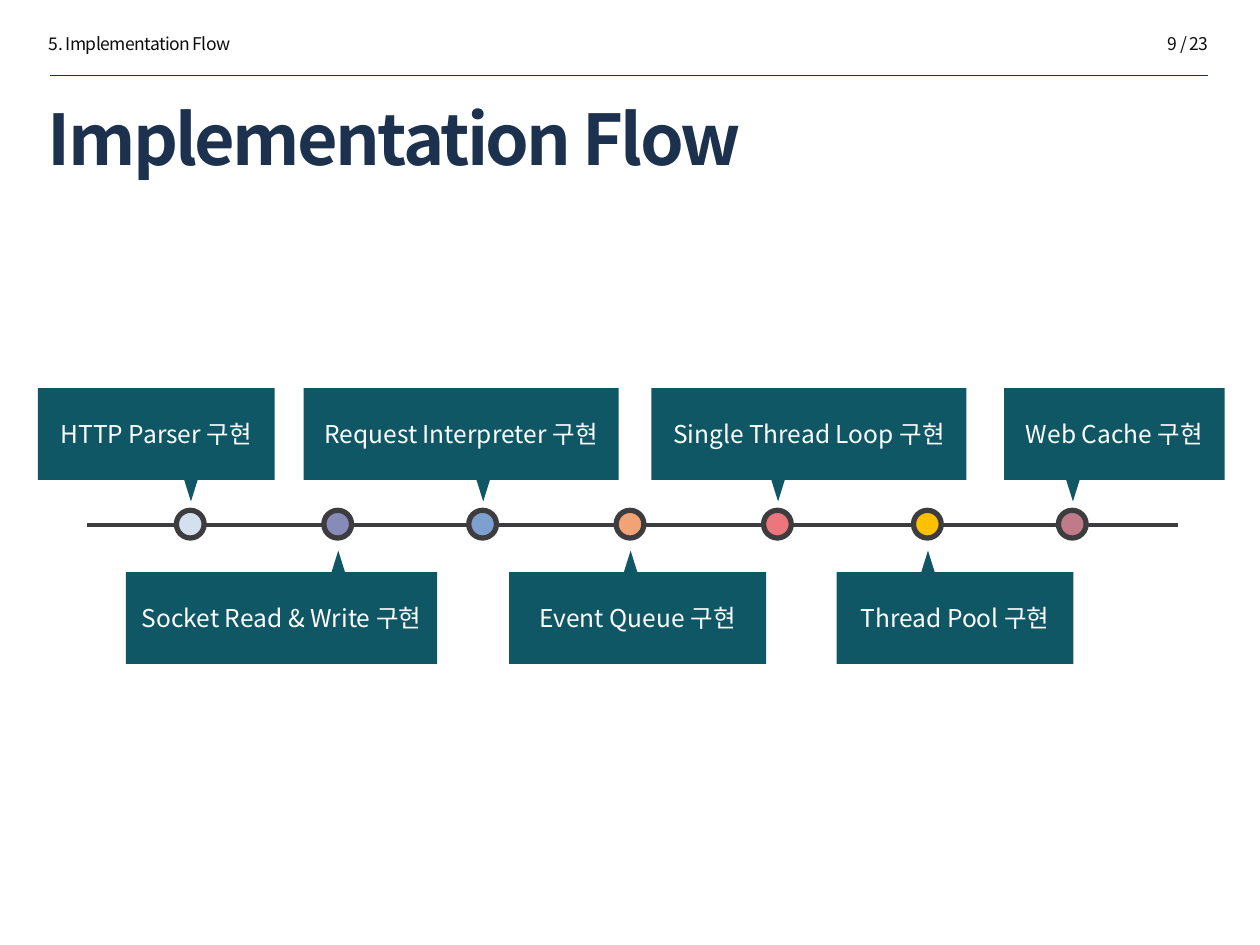
"""Build the Implementation Flow timeline slide."""
from dataclasses import dataclass

import lxml.etree
import pptx
import pptx.dml.color
import pptx.enum.shapes
import pptx.enum.text
import pptx.oxml.ns
import pptx.util

SCALE = 9144
FONT = "Noto Sans CJK KR"
NAVY, TEAL, CHARCOAL, INK, WHITE = "1C314E", "105766", "3D3C3E", "0D0D0D", "FFFFFF"
SHAPES = pptx.enum.shapes.MSO_SHAPE
ALIGN = pptx.enum.text.PP_ALIGN
ANCHOR = pptx.enum.text.MSO_ANCHOR
AUTO_SIZE = pptx.enum.text.MSO_AUTO_SIZE

DOT_TOP, DOT_SIZE = 405, 22
POINTER_WIDTH, POINTER_HEIGHT = 15, 24
BOX_HEIGHT = 73
ROWS = {"above": {"box": 308, "pointer": 374, "rotation": 180},
        "below": {"box": 454, "pointer": 437, "rotation": 0}}


@dataclass(frozen=True)
class Milestone:
    label: str
    dot_left: int
    dot_color: str
    box_left: int
    box_width: int


MILESTONES = [
    Milestone("HTTP Parser 구현", 140, "D4DFEF", 30, 188),
    Milestone("Socket Read & Write 구현", 257, "878BB8", 100, 247),
    Milestone("Request Interpreter 구현", 372, "7DA0D0", 241, 250),
    Milestone("Event Queue 구현", 489, "F3A276", 404, 204),
    Milestone("Single Thread Loop 구현", 606, "EC767C", 517, 250),
    Milestone("Thread Pool 구현", 725, "FFC000", 664, 188),
    Milestone("Web Cache 구현", 840, "C07B8A", 797, 175),
]


def px(length: int) -> int:
    return pptx.util.Emu(length * SCALE)


def color(value: str) -> pptx.dml.color.RGBColor:
    return pptx.dml.color.RGBColor.from_string(value)


def apply(target, values: dict) -> None:
    for name, value in values.items():
        setattr(target, name, value)


def write(shape, text: str, size: int, text_color: str, align, anchor=ANCHOR.MIDDLE,
          bold: bool = False, spacing: int = 0, wrap: bool = True) -> None:
    frame = shape.text_frame
    apply(frame, {"word_wrap": wrap, "auto_size": AUTO_SIZE.NONE, "vertical_anchor": anchor})
    paragraph = frame.paragraphs[0]
    paragraph.alignment = align
    run = paragraph.add_run()
    run.text = text
    apply(run.font, {"name": FONT, "size": pptx.util.Pt(size), "bold": bold})
    run.font.color.rgb = color(text_color)
    properties = run.font._element
    if spacing:
        properties.set("spc", str(spacing))
    east_asian = lxml.etree.SubElement(properties, pptx.oxml.ns.qn("a:ea"))
    east_asian.set("typeface", FONT)


def add_header(slide, left: int, text: str, align) -> None:
    box = slide.shapes.add_textbox(px(left), px(21), px(173), px(27))
    write(box, text, 10, INK, align, ANCHOR.TOP, spacing=-30)


def add_rule(slide, left: int, right: int, top: int, line_color: str, width: float) -> None:
    line = slide.shapes.add_connector(
        pptx.enum.shapes.MSO_CONNECTOR.STRAIGHT, px(left), px(top), px(right), px(top))
    line.line.color.rgb = color(line_color)
    line.line.width = pptx.util.Pt(width)
    lxml.etree.SubElement(line._element.spPr, pptx.oxml.ns.qn("a:effectLst"))


def add_filled(slide, kind, left: int, top: int, width: int, height: int, fill: str):
    shape = slide.shapes.add_shape(kind, px(left), px(top), px(width), px(height))
    shape.shadow.inherit = False
    shape.fill.solid()
    shape.fill.fore_color.rgb = color(fill)
    shape.line.fill.background()
    return shape


def add_milestone(slide, milestone: Milestone, row: dict) -> None:
    dot = add_filled(slide, SHAPES.OVAL, milestone.dot_left, DOT_TOP,
                     DOT_SIZE, DOT_SIZE, milestone.dot_color)
    dot.line.color.rgb = color(CHARCOAL)
    dot.line.width = pptx.util.Pt(3)
    box = add_filled(slide, SHAPES.RECTANGLE, milestone.box_left, row["box"],
                     milestone.box_width, BOX_HEIGHT, TEAL)
    write(box, milestone.label, 14, WHITE, ALIGN.CENTER, wrap=False)
    pointer = add_filled(slide, SHAPES.ISOSCELES_TRIANGLE, milestone.dot_left + 4,
                         row["pointer"], POINTER_WIDTH, POINTER_HEIGHT, TEAL)
    pointer.rotation = row["rotation"]


def main() -> None:
    presentation = pptx.Presentation()
    apply(presentation, {"slide_width": px(1000), "slide_height": px(750)})
    slide = presentation.slides.add_slide(presentation.slide_layouts[5])
    title = slide.shapes.title
    apply(title, {"left": px(28), "top": px(77), "width": px(765), "height": px(64)})
    write(title, "Implementation Flow", 40, NAVY, ALIGN.LEFT, bold=True, spacing=-150)
    add_header(slide, 29, "5. Implementation Flow", ALIGN.LEFT)
    add_header(slide, 796, "9 / 23", ALIGN.RIGHT)
    add_rule(slide, 40, 959, 60, NAVY, 0.25)
    add_rule(slide, 69, 935, 417, CHARCOAL, 2.25)
    for index, milestone in enumerate(MILESTONES):
        add_milestone(slide, milestone, ROWS["below" if index % 2 else "above"])
    presentation.save("out.pptx")


if __name__ == "__main__":
    main()
